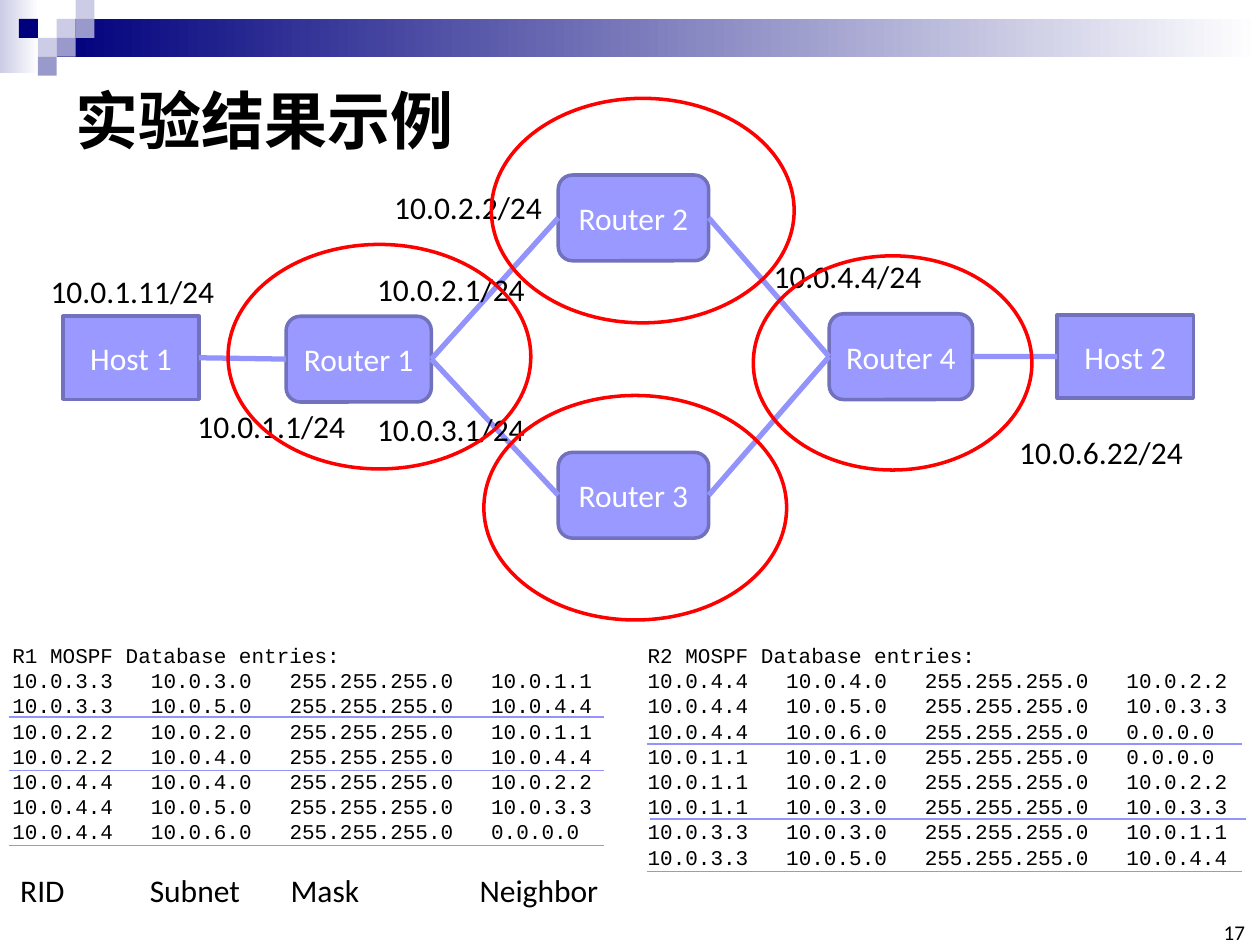
from dataclasses import dataclass

from lxml.etree import SubElement
from pptx import Presentation
from pptx.dml.color import RGBColor
from pptx.enum.shapes import MSO_CONNECTOR, MSO_SHAPE
from pptx.enum.text import MSO_ANCHOR, PP_ALIGN
from pptx.oxml.ns import qn
from pptx.util import Pt


@dataclass(frozen=True)
class Theme:
    navy: str = "00007D"
    lavender: str = "CCCCE6"
    violet: str = "9999CC"
    node: str = "9999FF"
    border: str = "7171BD"
    link: str = "9393FC"
    ring: str = "FF0000"
    black: str = "000000"
    white: str = "FFFFFF"
    sans: str = "Calibri"
    mono: str = "Courier New"
    title_size: int = 36
    label_size: int = 18
    small_size: int = 12


theme = Theme()

# Content
TITLE = "实验结果示例"
PAGE_NUMBER = "17"
CELL = 10.8
BANDS = [((0, 0, 22.3, 41.8), theme.lavender), ((32.4, 10.8, 687.6, 21.6), theme.navy)]
MOSAIC = [  # column, row, colour
    (3, 1, theme.lavender), (4, 0, theme.lavender), (4, 1, theme.violet),
    (2, 2, theme.lavender), (1, 1, theme.navy), (3, 2, theme.violet),
    (2, 3, theme.violet),
]
HOST, ROUTER = MSO_SHAPE.RECTANGLE, MSO_SHAPE.ROUNDED_RECTANGLE
NODES = {
    "Host 1": (HOST, 36, 180.7, 77.8, 47.5),
    "Host 2": (HOST, 604.1, 180, 77.8, 47.5),
    "Router 1": (ROUTER, 163.5, 180.7, 83, 49),
    "Router 2": (ROUTER, 319, 100, 86, 49),
    "Router 3": (ROUTER, 319, 258.5, 86, 49),
    "Router 4": (ROUTER, 473.8, 179.3, 82, 49),
}
LINKS = [
    ("Host 1", "Router 1"), ("Router 4", "Host 2"),
    ("Router 1", "Router 2"), ("Router 1", "Router 3"),
    ("Router 2", "Router 4"), ("Router 3", "Router 4"),
]
ADDRESSES = [
    ("10.0.1.11/24", 21.8, 152), ("10.0.6.22/24", 575.3, 243.7),
    ("10.0.1.1/24", 105.8, 229), ("10.0.2.1/24", 208.4, 150.7),
    ("10.0.3.1/24", 208.4, 230.6), ("10.0.2.2/24", 218.2, 103.7),
    ("10.0.4.4/24", 435, 143.5),
]
RINGS = [
    (130.3, 139.7, 173, 128.3), (276.5, 226, 173, 128.3),
    (280.8, 56.2, 173, 128.3), (430.5, 146.2, 159.2, 122.4),
]
MASK = "255.255.255.0"
DATABASES = [  # heading, left, width, (router, subnet, neighbor) rows, (left, top) rules
    ("R1 MOSPF Database entries:", 0, 360, [
        ("10.0.3.3", "10.0.3.0", "10.0.1.1"),
        ("10.0.3.3", "10.0.5.0", "10.0.4.4"),
        ("10.0.2.2", "10.0.2.0", "10.0.1.1"),
        ("10.0.2.2", "10.0.4.0", "10.0.4.4"),
        ("10.0.4.4", "10.0.4.0", "10.0.2.2"),
        ("10.0.4.4", "10.0.5.0", "10.0.3.3"),
        ("10.0.4.4", "10.0.6.0", "0.0.0.0"),
    ], [(5, 409.7), (5, 440.4), (5, 483)]),
    ("R2 MOSPF Database entries:", 363, 352, [
        ("10.0.4.4", "10.0.4.0", "10.0.2.2"),
        ("10.0.4.4", "10.0.5.0", "10.0.3.3"),
        ("10.0.4.4", "10.0.6.0", "0.0.0.0"),
        ("10.0.1.1", "10.0.1.0", "0.0.0.0"),
        ("10.0.1.1", "10.0.2.0", "10.0.2.2"),
        ("10.0.1.1", "10.0.3.0", "10.0.3.3"),
        ("10.0.3.3", "10.0.3.0", "10.0.1.1"),
        ("10.0.3.3", "10.0.5.0", "10.0.4.4"),
    ], [(369.5, 425.2), (371.5, 468), (369.5, 498)]),
]
DATABASE_TOP, RULE_WIDTH = 363.6, 340.4
DATABASE_TABS = (79.2, 158.4, 273.6)
COLUMN_NAMES = ("RID", "Subnet", "Mask", "Neighbor")
COLUMN_NAME_TABS = (74, 154.5, 262.5)

presentation = Presentation()
presentation.slide_width, presentation.slide_height = Pt(720), Pt(540)
slide = presentation.slides.add_slide(presentation.slide_layouts[6])


def rgb(color):
    return RGBColor.from_string(color)


def set_font(paragraph, size, color=theme.black, name=theme.sans, bold=False):
    font = paragraph.font
    font.size, font.name, font.bold = Pt(size), name, bold
    font.color.rgb = rgb(color)


def add_shape(kind, box, fill=None, line=None):
    shape = slide.shapes.add_shape(kind, *map(Pt, box))
    shape.shadow.inherit = False
    if fill:
        shape.fill.solid()
        shape.fill.fore_color.rgb = rgb(fill)
    else:
        shape.fill.background()
    if line:
        shape.line.color.rgb = rgb(line)
        shape.line.width = Pt(2)
    else:
        shape.line.fill.background()
    return shape


def add_text(lines, box, size=theme.label_size, name=theme.sans, bold=False,
             wrap=True, anchor=MSO_ANCHOR.TOP, tabs=()):
    frame = slide.shapes.add_textbox(*map(Pt, box)).text_frame
    frame.word_wrap, frame.vertical_anchor = wrap, anchor
    frame.text = "\n".join(lines)
    for paragraph in frame.paragraphs:
        set_font(paragraph, size, name=name, bold=bold)
        if tabs:
            properties = paragraph._p.get_or_add_pPr()
            tab_list = properties.makeelement(qn("a:tabLst"), {})
            properties.find(qn("a:defRPr")).addprevious(tab_list)
            for position in tabs:
                SubElement(tab_list, qn("a:tab"), pos=str(int(Pt(position))), algn="l")
    return frame


def add_line(width, start=(0, 0), end=(0, 0)):
    line = slide.shapes.add_connector(MSO_CONNECTOR.STRAIGHT, *map(Pt, start + end))
    line.line.color.rgb = rgb(theme.link)
    line.line.width = Pt(width)
    SubElement(line._element.spPr, qn("a:effectLst"))
    return line


# Header decoration
for box, color in BANDS:
    fill = add_shape(MSO_SHAPE.RECTANGLE, box).fill
    fill.gradient()
    fill.gradient_angle = 0
    for stop, stop_color in zip(fill.gradient_stops, (color, theme.white)):
        stop.color.rgb = rgb(stop_color)
for column, row, color in MOSAIC:
    add_shape(MSO_SHAPE.RECTANGLE, (column * CELL, row * CELL, CELL, CELL), color)

# Title and page number
add_text([TITLE], (36, 36, 648, 64), theme.title_size, bold=True, anchor=MSO_ANCHOR.MIDDLE)
number = add_text([PAGE_NUMBER], (694.8, 527.8, 16.6, 12.2), theme.small_size,
                  wrap=False, anchor=MSO_ANCHOR.BOTTOM)
number.margin_left = number.margin_right = number.margin_top = number.margin_bottom = 0
number.paragraphs[0].alignment = PP_ALIGN.RIGHT

# Network diagram
nodes = {}
for label, (kind, *box) in NODES.items():
    nodes[label] = add_shape(kind, box, theme.node, theme.border)
    frame = nodes[label].text_frame
    frame.text, frame.vertical_anchor = label, MSO_ANCHOR.MIDDLE
    frame.paragraphs[0].alignment = PP_ALIGN.CENTER
    set_font(frame.paragraphs[0], theme.label_size, theme.white)
LEFT_SIDE, RIGHT_SIDE = 1, 3
for source, target in LINKS:
    link = add_line(3)
    link.begin_connect(nodes[source], RIGHT_SIDE)
    link.end_connect(nodes[target], LEFT_SIDE)
for address, left, top in ADDRESSES:
    add_text([address], (left, top, 108.7 if len(address) > 11 else 100, 29), wrap=False)
for box in RINGS:
    add_shape(MSO_SHAPE.OVAL, box, line=theme.ring)

# Database listings
for heading, left, width, rows, rules in DATABASES:
    lines = [heading] + ["\t".join((router, subnet, MASK, neighbor))
                         for router, subnet, neighbor in rows]
    add_text(lines, (left, DATABASE_TOP, width, 7.2 + 14.5 * len(lines)),
             theme.small_size, theme.mono, tabs=DATABASE_TABS)
    for x, y in rules:
        add_line(0.75, (x, y), (x + RULE_WIDTH, y))
add_text(["\t".join(COLUMN_NAMES)], (4.5, 494, 360, 29), tabs=COLUMN_NAME_TABS)

presentation.save("out.pptx")
